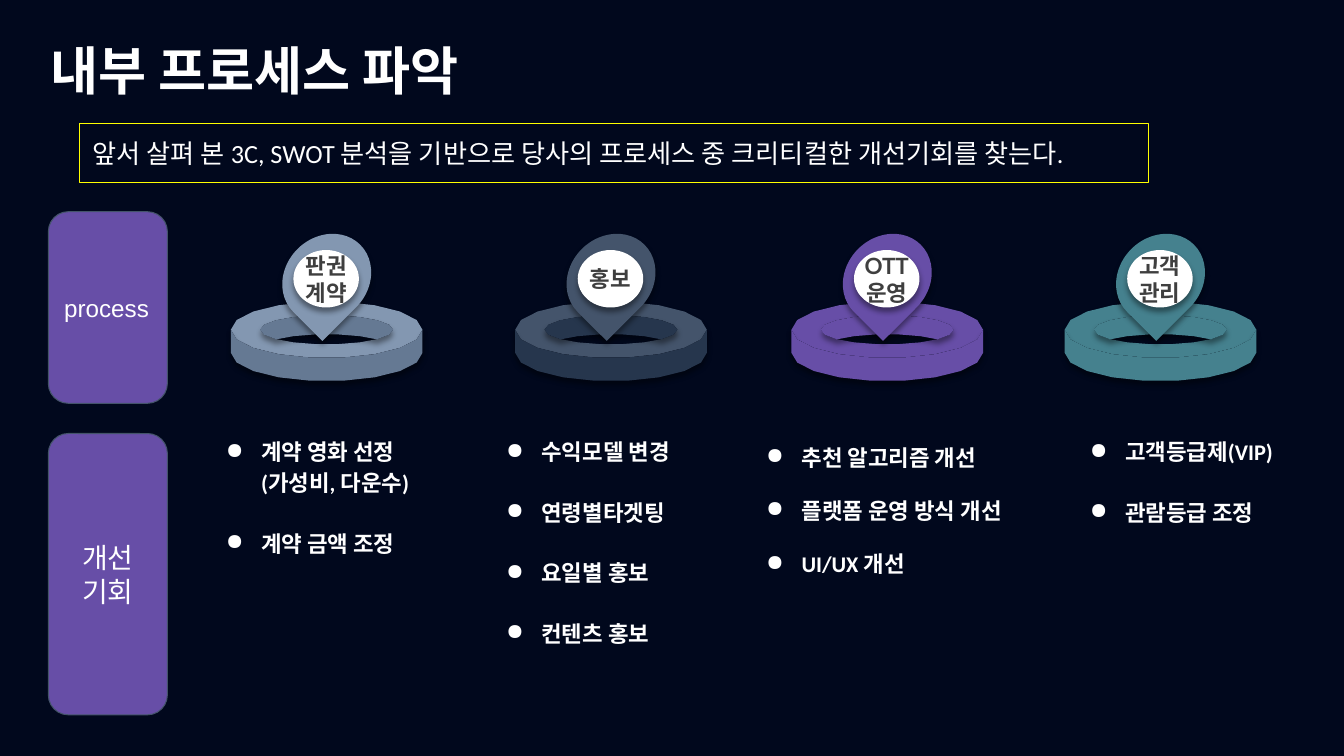
"""Build the internal process slide: four process pins above their improvement points."""
from math import cos, radians, sin

from lxml.etree import SubElement
from pptx import Presentation
from pptx.dml.color import RGBColor as Rgb
from pptx.enum.shapes import MSO_SHAPE as Shape
from pptx.enum.text import MSO_ANCHOR as Anchor, PP_ALIGN as Align
from pptx.oxml import parse_xml
from pptx.oxml.ns import nsdecls, qn
from pptx.util import Pt

THEME = {
    "back": "01081D", "white": "FFFFFF", "violet": "674EA7", "edge": "44546A", "frame": "FFFF00",
    "title": {"size": Pt(37.3), "name": "Calibri", "bold": True, "color": "FFFFFF"},
    "lead": {"size": Pt(18.7), "name": "Calibri", "bold": False, "color": "FFFFFF"},
    "point": {"size": Pt(16), "name": "Calibri", "bold": True, "color": "FFFFFF"},
    "pin": {"size": Pt(16), "name": "Lato", "bold": True, "color": "3F3F3F"},
    "process": {"size": Pt(17.3), "name": "Arial", "bold": False, "color": "FFFFFF"},
    "chance": {"size": Pt(20), "name": "Arial", "bold": False, "color": "FFFFFF"},
}

deck = Presentation()
deck.slide_width, deck.slide_height = Pt(960), Pt(540)
cell = deck.slide_width / 13.33
page = deck.slides.add_slide(deck.slide_layouts[6])
page.background.fill.solid()
page.background.fill.fore_color.rgb = Rgb.from_string(THEME["back"])


def arc(center, middle, half_width, half_height, start, end):
    """Return points 20 degrees apart along an ellipse, with angles running clockwise."""
    step = 20 if end > start else -20
    angles = [radians(angle) for angle in range(start, end + step, step)]
    return [(round((center + half_width * cos(angle)) * cell),
             round((middle + half_height * sin(angle)) * cell)) for angle in angles]


def write(box, lines, style, inset=(0.1, 0.05), align=Align.LEFT, anchor=Anchor.TOP):
    """Fill a shape with one paragraph per line and return the paragraphs."""
    frame = box.text_frame
    across, down = (round(side * cell) for side in inset)
    layout = {"word_wrap": True, "vertical_anchor": anchor, "margin_left": across,
              "margin_right": across, "margin_top": down, "margin_bottom": down}
    for key, value in layout.items():
        setattr(frame, key, value)
    for index, line in enumerate(lines):
        para = frame.add_paragraph() if index else frame.paragraphs[0]
        para.alignment = align
        span = para.add_run()
        span.text = line
        for key, value in THEME[style].items():
            if key == "color":
                span.font.color.rgb = Rgb.from_string(value)
            else:
                setattr(span.font, key, value)
    return frame.paragraphs


PINS = [
    (7.85, "OTT운영", "674EA7", "674EA7"),
    (2.29, "판권계약", "8397B1", "657993"),
    (5.11, "홍보", "44546B", "26364D"),
    (10.56, "고객관리", "45818E", "45818E"),
]
for left, name, bright, dark in PINS:
    center = left + 0.95
    rim = arc(center, 3.27, 0.95, 0.28, 0, 340)
    hole = arc(center, 3.27, 0.66, 0.145, 0, 340)
    wall = arc(center, 3.27, 0.66, 0.145, 140, 400) + arc(center, 3.46, 0.66, 0.145, 320, 220)
    side = arc(center, 3.27, 0.95, 0.28, 180, 0) + arc(center, 3.5, 0.95, 0.28, 0, 180)
    parts = []
    for outlines, color in [((rim, hole), bright), ((wall,), dark), ((side,), dark)]:
        builder = page.shapes.build_freeform(*outlines[0][0])
        builder.add_line_segments(outlines[0][1:], close=True)
        for outline in outlines[1:]:
            builder.move_to(*outline[0])
            builder.add_line_segments(outline[1:], close=True)
        parts.append((builder.convert_to_shape(), color))
    for kind, offset, top, width, height, color in [
        (Shape.TEAR, 0.48, 2.35, 0.94, 0.82, bright),
        (Shape.OVAL, 0.62, 2.48, 0.65, 0.57, THEME["white"]),
    ]:
        bounds = [round(length * cell) for length in (left + offset, top, width, height)]
        parts.append((page.shapes.add_shape(kind, *bounds), color))
    parts[3][0].rotation = 135
    write(parts[4][0], [name], "pin", (0, 0), Align.CENTER, Anchor.MIDDLE)
    for part, color in parts:
        part.fill.solid()
        part.fill.fore_color.rgb = Rgb.from_string(color)
        part.line.fill.background()
        part.shadow.inherit = False
        part.element.spPr.find(qn("a:effectLst")).append(parse_xml(
            f'<a:outerShdw {nsdecls("a")} blurRad="50800" dist="38100" dir="5400000" '
            'algn="t" rotWithShape="0"><a:srgbClr val="000000"><a:alpha val="40000"/>'
            '</a:srgbClr></a:outerShdw>'))

title = page.shapes.add_textbox(*[round(length * cell) for length in (0.4, 0.33, 4.94, 0.84)])
write(title, ["내부 프로세스 파악"], "title")

POINTS = [
    (10.56, 2.3, 1.42, 0.05, 24, ["고객등급제(VIP)", "관람등급 조정"]),
    (1.99, 2.3, 1.95, 0.05, 24, ["계약 영화 선정", "(가성비, 다운수)", "계약 금액 조정"]),
    (4.77, 2.3, 2.58, 0.05, 24, ["수익모델 변경", "연령별타겟팅", "요일별 홍보", "컨텐츠 홍보"]),
    (7.35, 3.03, 1.17, 0.1, 19, ["추천 알고리즘 개선", "플랫폼 운영 방식 개선", "UI/UX 개선"]),
]
for left, width, height, inset, gap, lines in POINTS:
    bounds = [round(length * cell) for length in (left, 4.3, width, height)]
    box = page.shapes.add_textbox(*bounds)
    for index, para in enumerate(write(box, lines, "point", (0.1, inset))):
        detail = para.text.startswith("(")
        if index:
            para.space_before = Pt(2.7 if detail else gap)
        margin, indent = (0, 0.5) if detail else (0.5, -0.35)
        props = para._p.get_or_add_pPr()
        props.set("marL", str(round(margin * cell)))
        props.set("indent", str(round(indent * cell)))
        if not detail:
            SubElement(SubElement(props, qn("a:buClr")), qn("a:srgbClr"), val=THEME["white"])
            SubElement(props, qn("a:buChar"), char="●")

LEAD = "앞서 살펴 본 3C, SWOT 분석을 기반으로 당사의 프로세스 중 크리티컬한 개선기회를 찾는다."
CARDS = [
    (Shape.ROUNDED_RECTANGLE, (0.48, 2.1, 1.18, 1.9), "violet", "edge",
     (["process"], "process", (0.1, 0.1), Align.LEFT, Anchor.MIDDLE)),
    (Shape.ROUNDED_RECTANGLE, (0.48, 4.3, 1.18, 2.79), "violet", "edge",
     (["개선", "기회"], "chance", (0.1, 0.1), Align.CENTER, Anchor.MIDDLE)),
    (Shape.RECTANGLE, (0.79, 1.23, 10.6, 0.58), None, "frame", ([LEAD], "lead", (0.13, 0.13))),
]
for kind, place, fill, edge, content in CARDS:
    card = page.shapes.add_shape(kind, *[round(length * cell) for length in place])
    card.shadow.inherit = False
    if fill:
        card.fill.solid()
        card.fill.fore_color.rgb = Rgb.from_string(THEME[fill])
    else:
        card.fill.background()
    card.line.color.rgb = Rgb.from_string(THEME[edge])
    card.line.width = Pt(0.75)
    write(card, *content)

deck.save("out.pptx")
